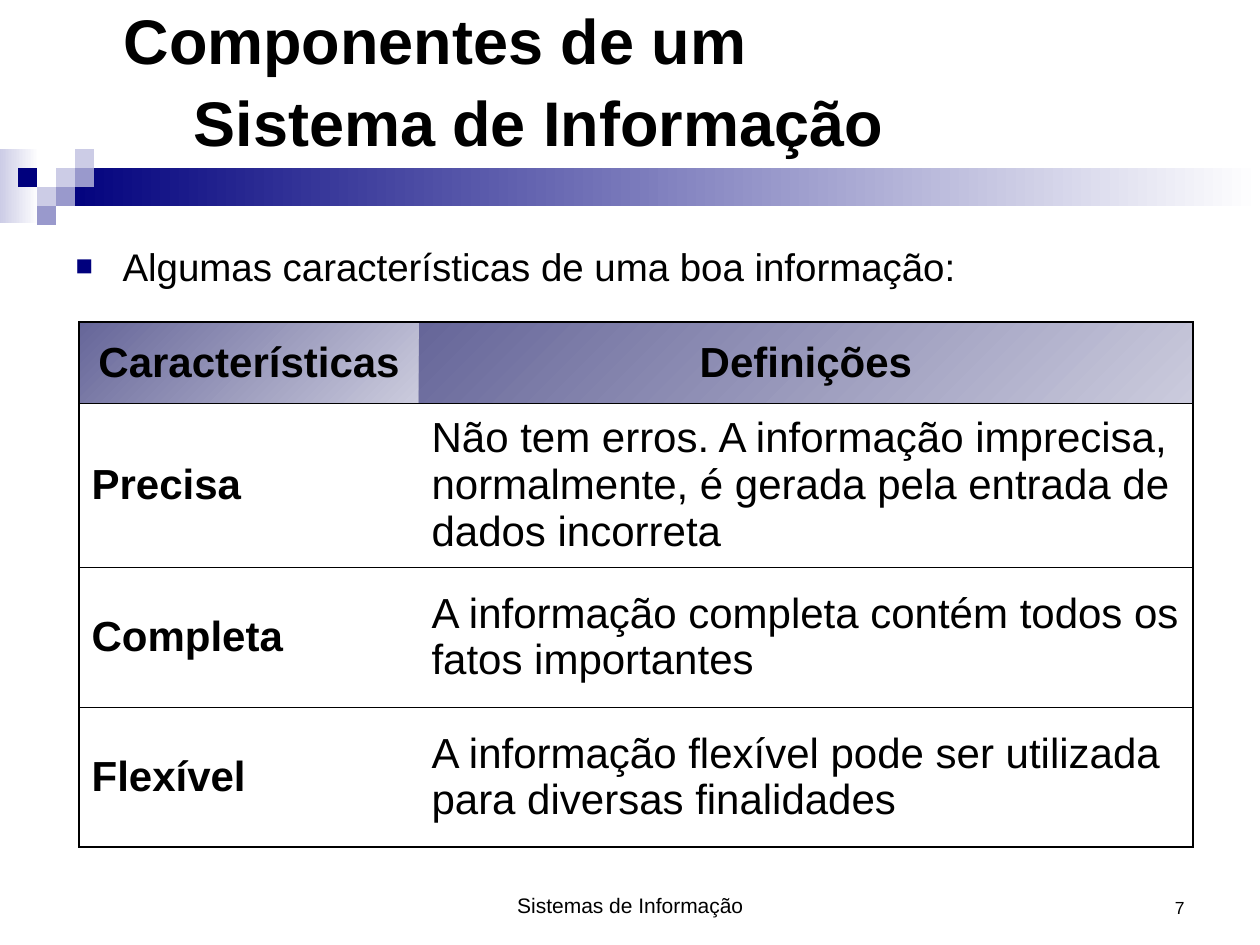
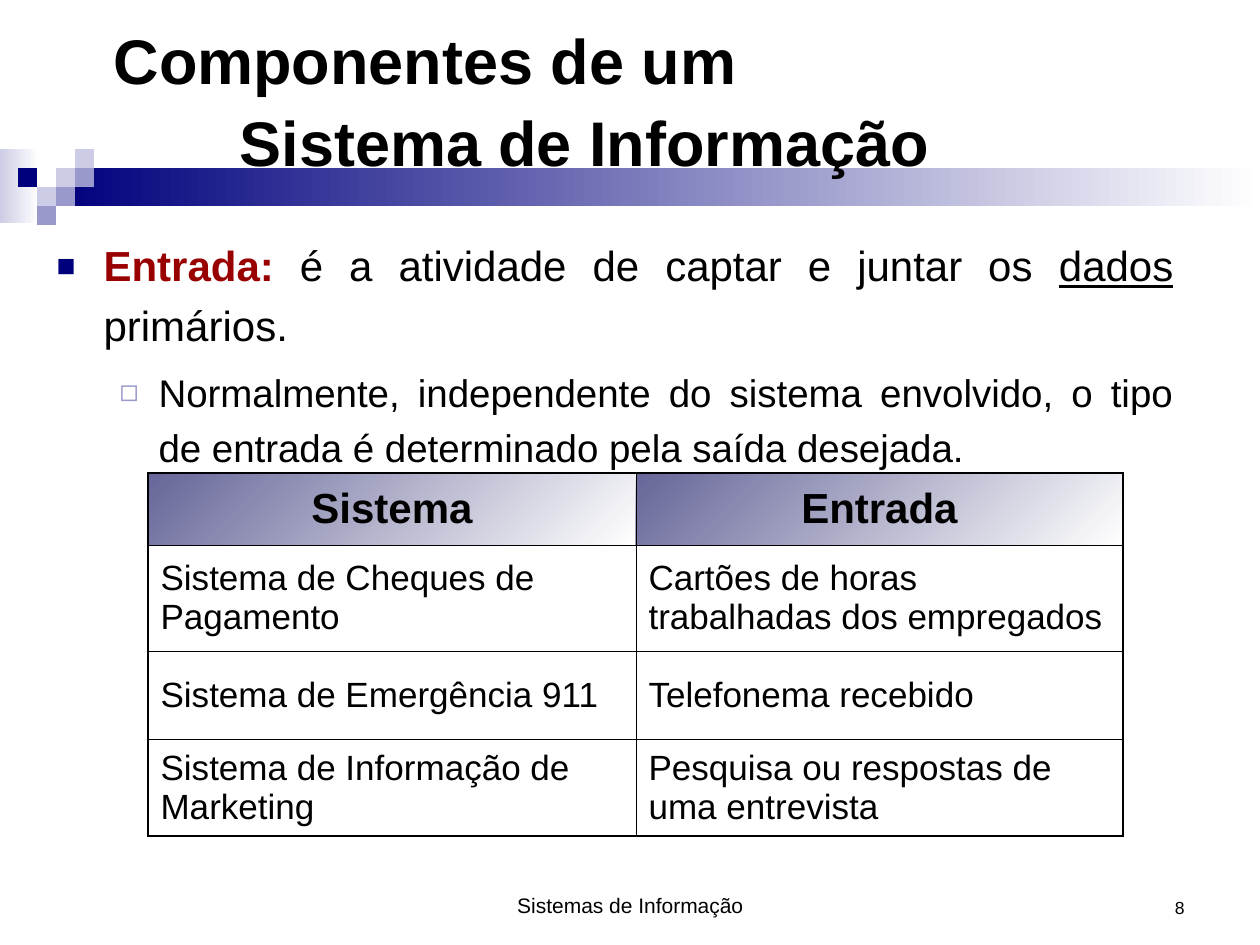
from lxml.etree import SubElement
from pptx import Presentation
from pptx.dml.color import RGBColor
from pptx.enum.shapes import MSO_SHAPE
from pptx.enum.text import MSO_ANCHOR, MSO_AUTO_SIZE, PP_ALIGN
from pptx.oxml.ns import qn
from pptx.util import Emu, Pt

BLACK, WHITE, RED = "000000", "FFFFFF", "990000"
NAVY, LAVENDER, PALE = "00007D", "9999CC", "CCCCE6"
HEADER_DARK, HEADER_LIGHT = "666699", "CBCBDD"
FONT = "Arial"
FOOTER = "Sistemas de Informação"
TITLE = "Componentes de um\v\tSistema de Informação"

# Bullet levels: symbol, colour, size in %, left margin and hanging indent in px
BULLETS = [("■", NAVY, 75, 47, 47), ("◻", LAVENDER, 80, 102, 39)]

# Column, row and colour of the small squares, on a 19 px grid
SQUARES = [(2, 1, PALE), (3, 0, PALE), (3, 1, LAVENDER), (1, 2, PALE),
           (0, 1, NAVY), (2, 2, LAVENDER), (1, 3, LAVENDER)]

SLIDES = [
    {
        "number": "7",
        "title_box": (111, -24, 1134, 189),
        "title_tab": 70,
        "body_box": (63, 233, 1134, 536),
        "align": PP_ALIGN.LEFT,
        "line_spacing": 1.08,
        "body": [
            (0, 22, [("Algumas características de uma boa informação:", {})]),
        ],
        "table": {
            "at": (79, 322),
            "columns": (340, 774),
            "rows": (81, 164, 140, 140),
            "header_end": HEADER_LIGHT,
            "size": 24,
            "bold_first_column": True,
            "column_lines": False,
            "cells": [
                ("Características", "Definições"),
                ("Precisa", "Não tem erros. A informação imprecisa, normalmente, "
                            "é gerada pela entrada de dados incorreta"),
                ("Completa", "A informação completa contém todos os fatos importantes"),
                ("Flexível", "A informação flexível pode ser utilizada para "
                             "diversas finalidades"),
            ],
        },
    },
    {
        "number": "8",
        "title_box": (101, -4, 1134, 189),
        "title_tab": 126,
        "body_box": (44, 224, 1142, 236),
        "align": PP_ALIGN.JUSTIFY,
        "line_spacing": 1.19,
        "body": [
            (0, 24, [("Entrada:", {"color": RED, "bold": True}),
                     (" é a atividade de captar e juntar os ", {}),
                     ("dados", {"underline": True}),
                     (" primários.", {})]),
            (1, 22, [("Normalmente, independente do sistema envolvido, o tipo de "
                      "entrada é determinado pela saída desejada.", {})]),
        ],
        "table": {
            "at": (148, 473),
            "columns": (488, 487),
            "rows": (72, 106, 88, 97),
            "header_end": WHITE,
            "size": 20,
            "bold_first_column": False,
            "column_lines": True,
            "cells": [
                ("Sistema", "Entrada"),
                ("Sistema de Cheques de Pagamento",
                 "Cartões de horas trabalhadas dos empregados"),
                ("Sistema de Emergência 911", "Telefonema recebido"),
                ("Sistema de Informação de Marketing",
                 "Pesquisa ou respostas de uma entrevista"),
            ],
        },
    },
]


def px(length):
    return Emu(round(length * 914400 / 126))


def rgb(color):
    return RGBColor.from_string(color)


def add_text(paragraph, text, size=12, color=BLACK, bold=False, underline=False):
    for index, line in enumerate(text.split("\v")):
        if index:
            paragraph.add_line_break()
        run = paragraph.add_run()
        run.text = line
        run.font.name = FONT
        run.font.size = Pt(size)
        run.font.color.rgb = rgb(color)
        run.font.bold = bold
        run.font.underline = underline


def fill_gradient(fill, start, end, angle):
    fill.gradient()
    fill.gradient_angle = angle
    for stop, color in zip(fill.gradient_stops, (start, end)):
        stop.color.rgb = rgb(color)


def place(shape, box):
    shape.left, shape.top, shape.width, shape.height = map(px, box)


def add_decoration(slide, layout):
    """Build the band and squares, then move them to the shared layout."""

    def add_block(*box):
        block = slide.shapes.add_shape(MSO_SHAPE.RECTANGLE, *map(px, box))
        block.shadow.inherit = False
        block.line.fill.background()
        blocks.append(block)
        return block.fill

    blocks = []
    fill_gradient(add_block(0, 149, 39, 74), PALE, WHITE, 0)
    fill_gradient(add_block(57, 168, 1203, 38), NAVY, WHITE, 0)
    for column, row, color in SQUARES:
        fill = add_block(18 + 19 * column, 149 + 19 * row, 19, 19)
        fill.solid()
        fill.fore_color.rgb = rgb(color)
    for number, block in enumerate(blocks, start=20):
        block.element.nvSpPr.cNvPr.set("id", str(number))
        layout.shapes.element.append(block.element)


def add_title(slide, box, tab):
    title = slide.shapes.title
    place(title, box)
    frame = title.text_frame
    frame.auto_size = MSO_AUTO_SIZE.NONE
    frame.vertical_anchor = MSO_ANCHOR.BOTTOM
    paragraph = frame.paragraphs[0]
    tabs = SubElement(paragraph._p.get_or_add_pPr(), qn("a:tabLst"))
    SubElement(tabs, qn("a:tab"), pos=str(px(tab)), algn="l")
    paragraph.alignment = PP_ALIGN.LEFT
    paragraph.line_spacing = 1.08
    add_text(paragraph, TITLE, size=36, bold=True)


def set_bullet(paragraph, level):
    symbol, color, percent, margin, hanging = BULLETS[level]
    properties = paragraph._p.get_or_add_pPr()
    properties.set("marL", str(px(margin)))
    properties.set("indent", str(-px(hanging)))
    bullet_color = SubElement(properties, qn("a:buClr"))
    SubElement(bullet_color, qn("a:srgbClr"), val=color)
    SubElement(properties, qn("a:buSzPct"), val=str(percent * 1000))
    SubElement(properties, qn("a:buFont"), typeface=FONT)
    SubElement(properties, qn("a:buChar"), char=symbol)


def add_body(slide, content):
    body = slide.placeholders[1]
    place(body, content["body_box"])
    frame = body.text_frame
    frame.auto_size = MSO_AUTO_SIZE.NONE
    for index, (level, size, runs) in enumerate(content["body"]):
        paragraph = frame.add_paragraph() if index else frame.paragraphs[0]
        paragraph.level = level
        set_bullet(paragraph, level)
        paragraph.alignment = content["align"]
        paragraph.line_spacing = content["line_spacing"]
        paragraph.space_before = Pt(5.5 if index else 0)
        for text, style in runs:
            add_text(paragraph, text, size=size, **style)


def set_borders(cell, widths):
    """Draw the left, right, top and bottom lines; a width of 0 hides one."""
    properties = cell._tc.get_or_add_tcPr()
    for side, width in zip("LRTB", widths):
        line = SubElement(properties, qn(f"a:ln{side}"), w=str(Pt(width)))
        if width:
            fill = SubElement(line, qn("a:solidFill"))
            SubElement(fill, qn("a:srgbClr"), val=BLACK)
        else:
            SubElement(line, qn("a:noFill"))


def add_table(slide, spec):
    columns, rows = spec["columns"], spec["rows"]
    box = (*spec["at"], sum(columns), sum(rows))
    table = slide.shapes.add_table(len(rows), len(columns), *map(px, box)).table
    table.horz_banding = False
    for column, width in zip(table.columns, columns):
        column.width = px(width)
    for row, height in zip(table.rows, rows):
        row.height = px(height)

    outer, inner = 1.08, 0.45
    divider = inner if spec["column_lines"] else 0
    for i, texts in enumerate(spec["cells"]):
        for j, text in enumerate(texts):
            cell = table.cell(i, j)
            set_borders(cell, (
                divider if j else outer,
                divider if j < len(columns) - 1 else outer,
                inner if i else outer,
                inner if i < len(rows) - 1 else outer,
            ))
            header = i == 0
            if header:
                fill_gradient(cell.fill, HEADER_DARK, spec["header_end"], 315)
            else:
                cell.fill.background()
            cell.vertical_anchor = MSO_ANCHOR.MIDDLE
            paragraph = cell.text_frame.paragraphs[0]
            paragraph.alignment = PP_ALIGN.CENTER if header else PP_ALIGN.LEFT
            add_text(paragraph, text, size=24 if header else spec["size"],
                     bold=header or (spec["bold_first_column"] and j == 0))


def add_footer(slide, number):
    for text, left, width, size, align in (
        (FOOTER, 431, 399, 12, PP_ALIGN.CENTER),
        (number, 903, 294, 10, PP_ALIGN.RIGHT),
    ):
        box = slide.shapes.add_textbox(px(left), px(861), px(width), px(63))
        frame = box.text_frame
        frame.word_wrap = True
        frame.vertical_anchor = MSO_ANCHOR.BOTTOM
        paragraph = frame.paragraphs[0]
        paragraph.alignment = align
        add_text(paragraph, text, size=size)


def main():
    presentation = Presentation()
    presentation.slide_width, presentation.slide_height = px(1260), px(945)
    layout = presentation.slide_layouts[1]
    for index, content in enumerate(SLIDES):
        slide = presentation.slides.add_slide(layout)
        if index == 0:
            add_decoration(slide, layout)
        add_title(slide, content["title_box"], content["title_tab"])
        add_body(slide, content)
        add_table(slide, content["table"])
        add_footer(slide, content["number"])
    presentation.save("out.pptx")


if __name__ == "__main__":
    main()
